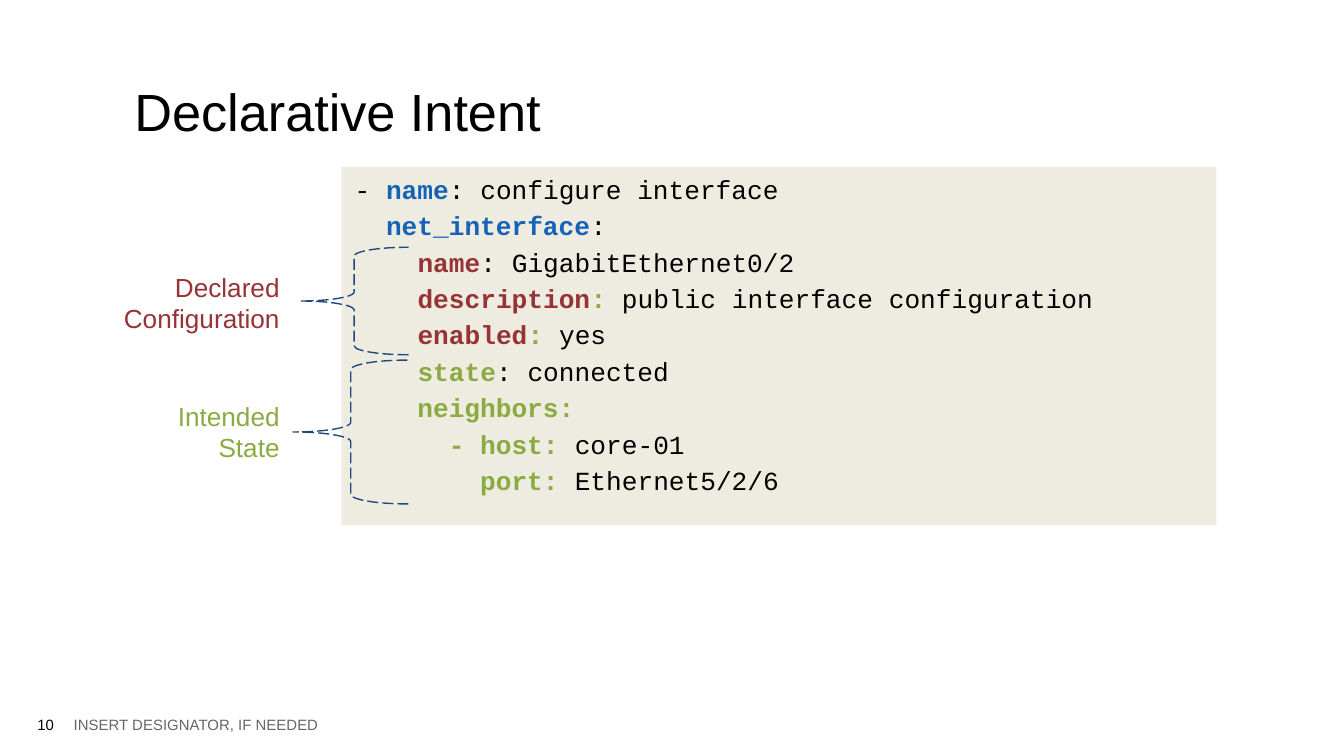
from dataclasses import dataclass

from pptx import Presentation
from pptx.dml.color import RGBColor
from pptx.enum import dml, shapes, text
from pptx.util import Inches, Pt

BLACK = RGBColor(0x00, 0x00, 0x00)
GRAY = RGBColor(0x66, 0x66, 0x66)
BLUE = RGBColor(0x15, 0x62, 0xB7)
RED = RGBColor(0x96, 0x33, 0x34)
GREEN = RGBColor(0x8B, 0xAB, 0x42)
NAVY = RGBColor(0x1F, 0x49, 0x7D)
BEIGE = RGBColor(0xEE, 0xEC, 0xE1)

LEFT, RIGHT = text.PP_ALIGN.LEFT, text.PP_ALIGN.RIGHT
TOP, MIDDLE, BOTTOM = (text.MSO_ANCHOR.TOP, text.MSO_ANCHOR.MIDDLE,
                       text.MSO_ANCHOR.BOTTOM)


@dataclass
class Box:
    left: float
    top: float
    width: float
    height: float

    def emu(self) -> list:
        return [Inches(v) for v in (self.left, self.top, self.width, self.height)]


@dataclass
class Label:
    words: str
    box: Box
    size: float
    color: RGBColor
    align: text.PP_ALIGN = LEFT
    anchor: text.MSO_ANCHOR = TOP


LABELS = [
    Label("INSERT DESIGNATOR, IF NEEDED", Box(0.45, 5.18, 8.38, 0.43), 8, GRAY,
          anchor=MIDDLE),
    Label("10", Box(0.11, 5.18, 0.39, 0.43), 8, BLACK, RIGHT, MIDDLE),
    Label("Declared Configuration", Box(0.24, 1.92, 1.94, 0.64), 14, RED, RIGHT),
    Label("Intended State", Box(1.07, 2.88, 1.11, 0.67), 14, GREEN, RIGHT),
]
TITLE = Label("Declarative Intent", Box(0.9, 0, 8.19, 1.16), 28, BLACK,
              anchor=BOTTOM)
BRACES = [Box(2.23, 1.84, 0.81, 0.8), Box(2.18, 2.68, 0.86, 1.07)]

# Each code line is a list of (text, colour); coloured text is bold
CODE = [
    [("- ", BLACK), ("name", BLUE), (": configure interface", BLACK)],
    [("  ", BLACK), ("net_interface", BLUE), (":", BLACK)],
    [("    ", BLACK), ("name", RED), (": GigabitEthernet0/2", BLACK)],
    [("    ", BLACK), ("description", RED), (": ", GREEN),
     ("public interface configuration", BLACK)],
    [("    ", GREEN), ("enabled", RED), (": ", GREEN), ("yes", BLACK)],
    [("    ", BLACK), ("state", GREEN), (": connected", BLACK)],
    [("    neighbors:", GREEN)],
    [("      - host: ", GREEN), ("core-01", BLACK)],
    [("        port: ", GREEN), ("Ethernet5/2/6", BLACK)],
]


def set_frame(tf, anchor: text.MSO_ANCHOR, inset_y: float = 0.1) -> None:
    fmt = {
        "word_wrap": True,
        "auto_size": text.MSO_AUTO_SIZE.NONE,
        "vertical_anchor": anchor,
        "margin_left": Inches(0.1),
        "margin_right": Inches(0.1),
        "margin_top": Inches(inset_y),
        "margin_bottom": Inches(inset_y),
    }
    for name, value in fmt.items():
        setattr(tf, name, value)


def add_run(p, words: str, font: str, size: float, color: RGBColor,
            bold: bool = False) -> None:
    r = p.add_run()
    r.text = words
    for name, value in {"name": font, "size": Pt(size), "bold": bold}.items():
        setattr(r.font, name, value)
    r.font.color.rgb = color


def fill_label(sp, label: Label) -> None:
    set_frame(sp.text_frame, label.anchor)
    p = sp.text_frame.paragraphs[0]
    p.alignment = label.align
    add_run(p, label.words, "Arial", label.size, label.color)


def draw_code(s, box: Box) -> None:
    sp = s.shapes.add_shape(shapes.MSO_SHAPE.RECTANGLE, *box.emu())
    sp.shadow.inherit = False
    sp.fill.solid()
    sp.fill.fore_color.rgb = BEIGE
    sp.line.fill.background()
    tf = sp.text_frame
    set_frame(tf, TOP, 0.05)
    for i, line in enumerate(CODE):
        p = tf.add_paragraph() if i else tf.paragraphs[0]
        p.alignment = LEFT
        if i:
            p.space_before = Pt(2.7)
        for words, color in line:
            add_run(p, words, "Courier New", 14, color, color != BLACK)


def draw_brace(s, box: Box) -> None:
    sp = s.shapes.add_shape(shapes.MSO_SHAPE.LEFT_BRACE, *box.emu())
    sp.shadow.inherit = False
    sp.fill.background()
    sp.line.color.rgb = NAVY
    sp.line.width = Pt(0.75)
    sp.line.dash_style = dml.MSO_LINE.LONG_DASH


def main() -> None:
    prs = Presentation()
    prs.slide_width = Inches(10)
    prs.slide_height = prs.slide_width * 9 // 16
    s = prs.slides.add_slide(prs.slide_layouts[5])

    # Title
    title = s.shapes.title
    title.left, title.top, title.width, title.height = TITLE.box.emu()
    fill_label(title, TITLE)

    # Code panel with its braces
    draw_code(s, Box(2.54, 1.24, 6.51, 2.67))
    for box in BRACES:
        draw_brace(s, box)

    # Brace labels, footer and page number
    for label in LABELS:
        fill_label(s.shapes.add_textbox(*label.box.emu()), label)

    prs.save("out.pptx")


if __name__ == "__main__":
    main()
